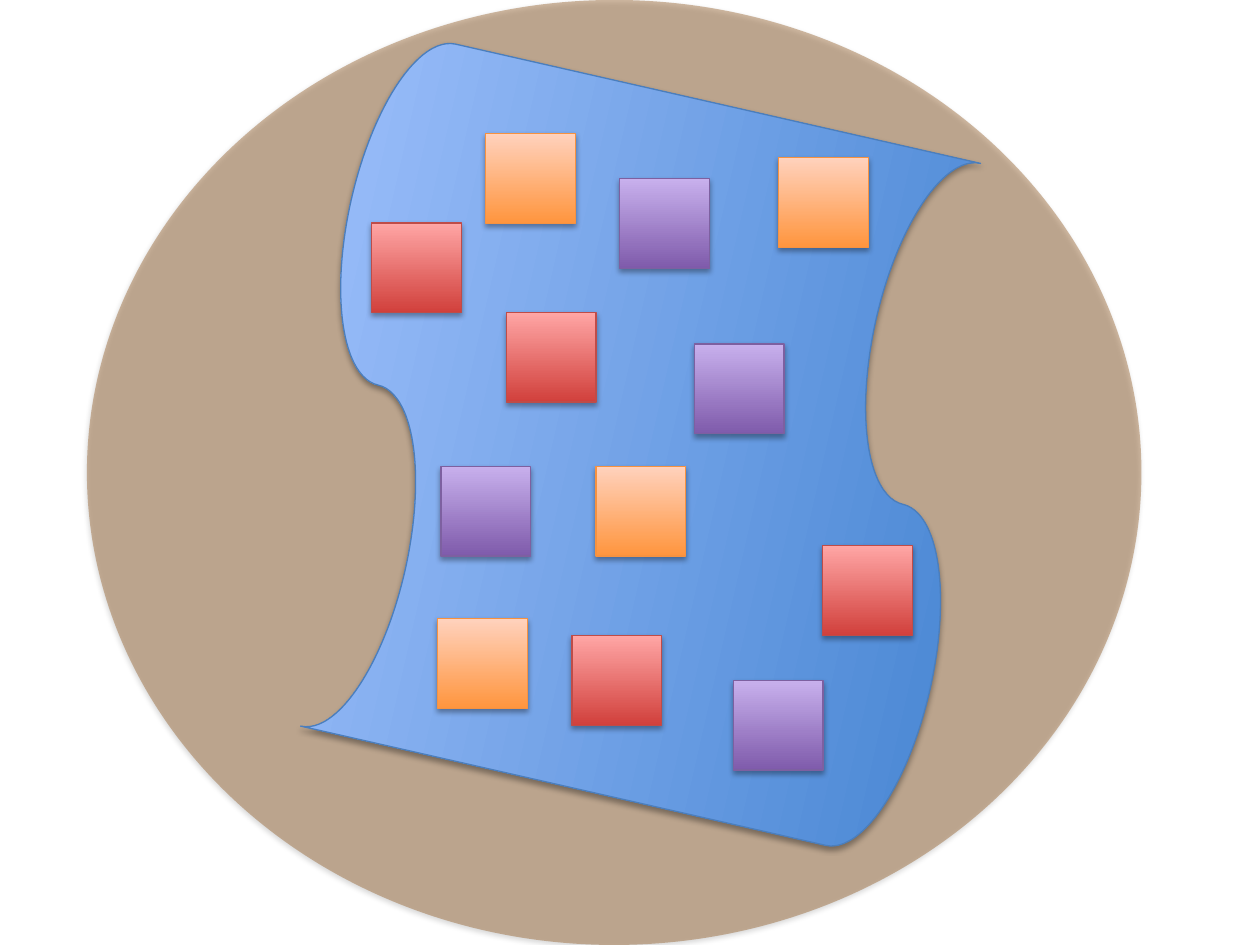
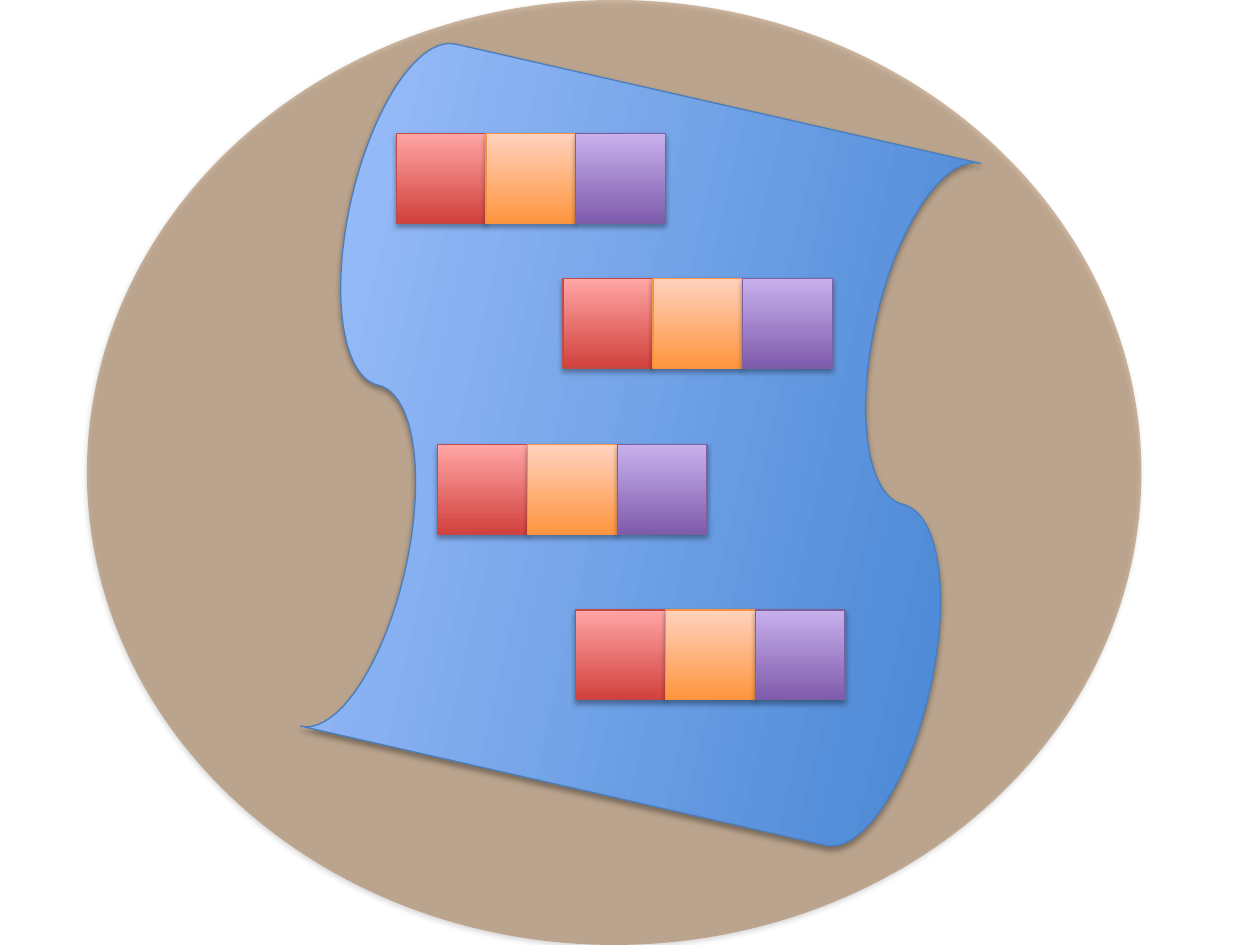
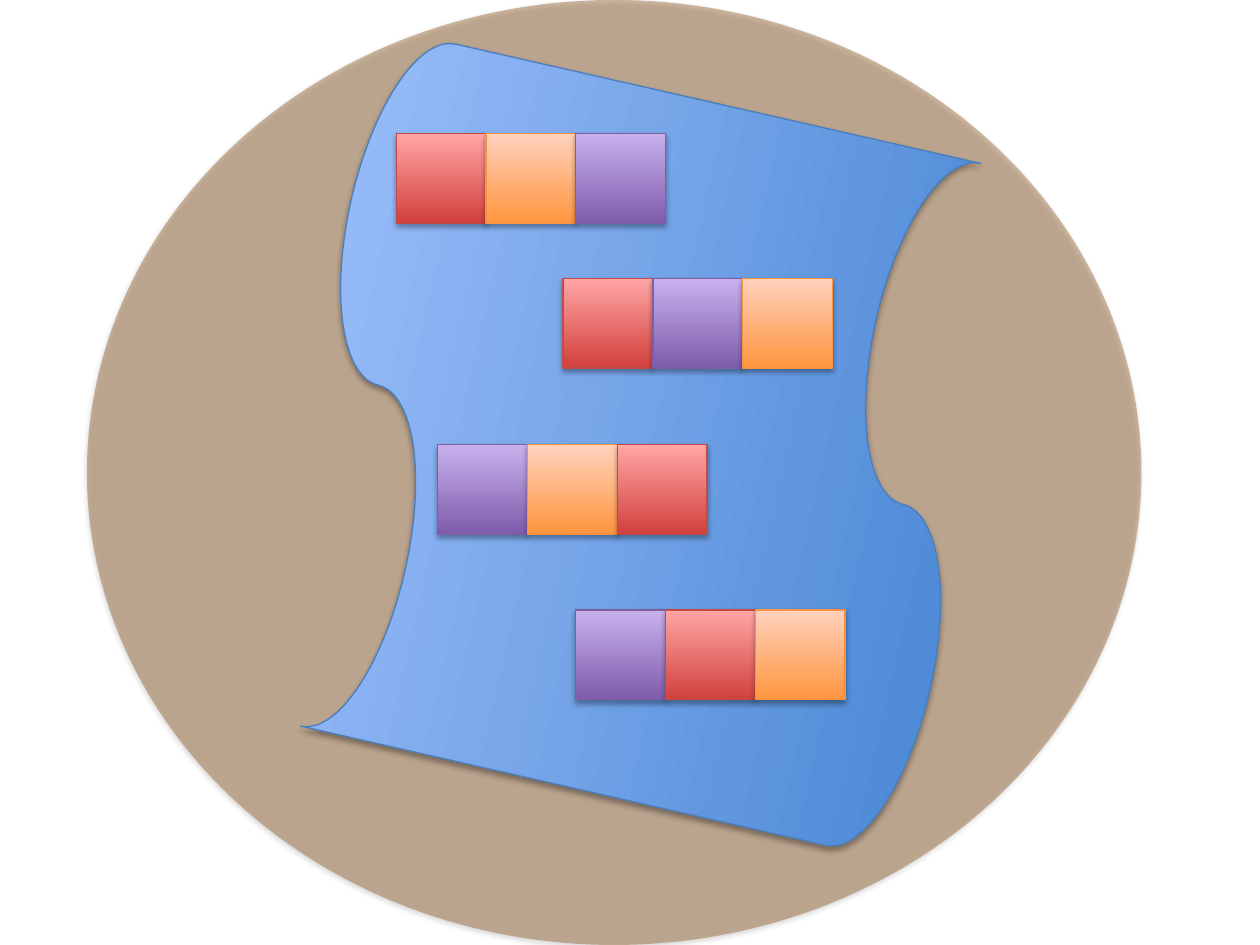
"""Build three slides of coloured blocks on a tape: scattered, ordered and shuffled."""
import pptx
import pptx.dml.color
import pptx.enum.shapes
import pptx.oxml
import pptx.oxml.ns
import pptx.util

Pt = pptx.util.Pt
RGB = pptx.dml.color.RGBColor.from_string
SHAPE = pptx.enum.shapes.MSO_SHAPE
qn = pptx.oxml.ns.qn

COLORS = {
    "ground": "996633",
    "shadow": "000000",
    "tape": {"dark": "3F80CE", "light": "A4C4FF", "line": "4B7EBC"},
    "red": {"dark": "D1403C", "light": "FFA6A5", "line": "BF4C48"},
    "orange": {"dark": "FF953E", "light": "FFD2BD", "line": "F69240"},
    "purple": {"dark": "7F5BAB", "light": "C8B0ED", "line": "7D60A0"},
}

GROUND = (49.7, 0, 602.6, 540)
TAPE = (166.3, 61.9, 399.6, 384.5)
TAPE_ROTATION = 282.8
BLOCK = 51.3

SCATTERED = [
    ("red", 212.4, 127.4), ("orange", 277.6, 76.3), ("purple", 354.2, 102.2),
    ("red", 289.4, 178.4), ("orange", 250.2, 353.6), ("purple", 396.7, 196.6),
    ("red", 470.2, 311.8), ("orange", 340.6, 266.4), ("purple", 419, 388.8),
    ("red", 326.9, 363.2), ("orange", 445, 90), ("purple", 252, 266.4),
]

CHAIN_STARTS = [(226.4, 76.3), (321.8, 159.1), (250.2, 254.2), (329, 348.6)]
ORDERED = [("red", "orange", "purple")] * 4
SHUFFLED = [
    ("red", "orange", "purple"),
    ("red", "purple", "orange"),
    ("purple", "orange", "red"),
    ("purple", "red", "orange"),
]


def add_shadow(sp):
    sp.shadow.inherit = False
    effects = sp.element.spPr.find(qn("a:effectLst"))
    effects.append(pptx.oxml.parse_xml(
        f'<a:outerShdw {pptx.oxml.ns.nsdecls("a")} blurRad="{Pt(3.15)}" dist="{Pt(1.81)}" '
        f'dir="5400000" rotWithShape="0"><a:srgbClr val="{COLORS["shadow"]}">'
        '<a:alpha val="35000"/></a:srgbClr></a:outerShdw>'))


def add_piece(shapes, kind, box, color):
    sp = shapes.add_shape(kind, *map(Pt, box))
    tones = COLORS[color]
    sp.fill.gradient()
    sp.fill.gradient_angle = 90
    for stop, tone in zip(sp.fill.gradient_stops, ("dark", "light")):
        stop.color.rgb = RGB(tones[tone])
        stop.position = 0 if tone == "dark" else 1
    sp.line.color.rgb = RGB(tones["line"])
    sp.line.width = Pt(0.75)
    add_shadow(sp)
    return sp


def add_block(shapes, color, x, y):
    add_piece(shapes, SHAPE.RECTANGLE, (x, y, BLOCK, BLOCK), color)


def add_scene(prs):
    s = prs.slides.add_slide(prs.slide_layouts[6])
    ground = s.shapes.add_shape(SHAPE.OVAL, *map(Pt, GROUND))
    ground.fill.solid()
    ground.fill.fore_color.rgb = RGB(COLORS["ground"])
    tint = ground.element.spPr.find(qn("a:solidFill"))[0]
    tint.append(pptx.oxml.parse_xml(f'<a:alpha {pptx.oxml.ns.nsdecls("a")} val="45000"/>'))
    ground.line.fill.background()
    add_shadow(ground)
    tape = add_piece(s.shapes, SHAPE.FLOWCHART_PUNCHED_TAPE, TAPE, "tape")
    tape.rotation = TAPE_ROTATION
    return s


def add_chains(s, chains, grouped):
    for (x, y), chain in zip(CHAIN_STARTS, chains):
        shapes = s.shapes.add_group_shape().shapes if grouped else s.shapes
        for i, color in enumerate(chain):
            add_block(shapes, color, x + i * BLOCK, y)


def main():
    prs = pptx.Presentation()
    prs.slide_width, prs.slide_height = Pt(720), Pt(540)
    s = add_scene(prs)
    for block in SCATTERED:
        add_block(s.shapes, *block)
    add_chains(add_scene(prs), ORDERED, grouped=True)
    add_chains(add_scene(prs), SHUFFLED, grouped=False)
    prs.save("out.pptx")


if __name__ == "__main__":
    main()
